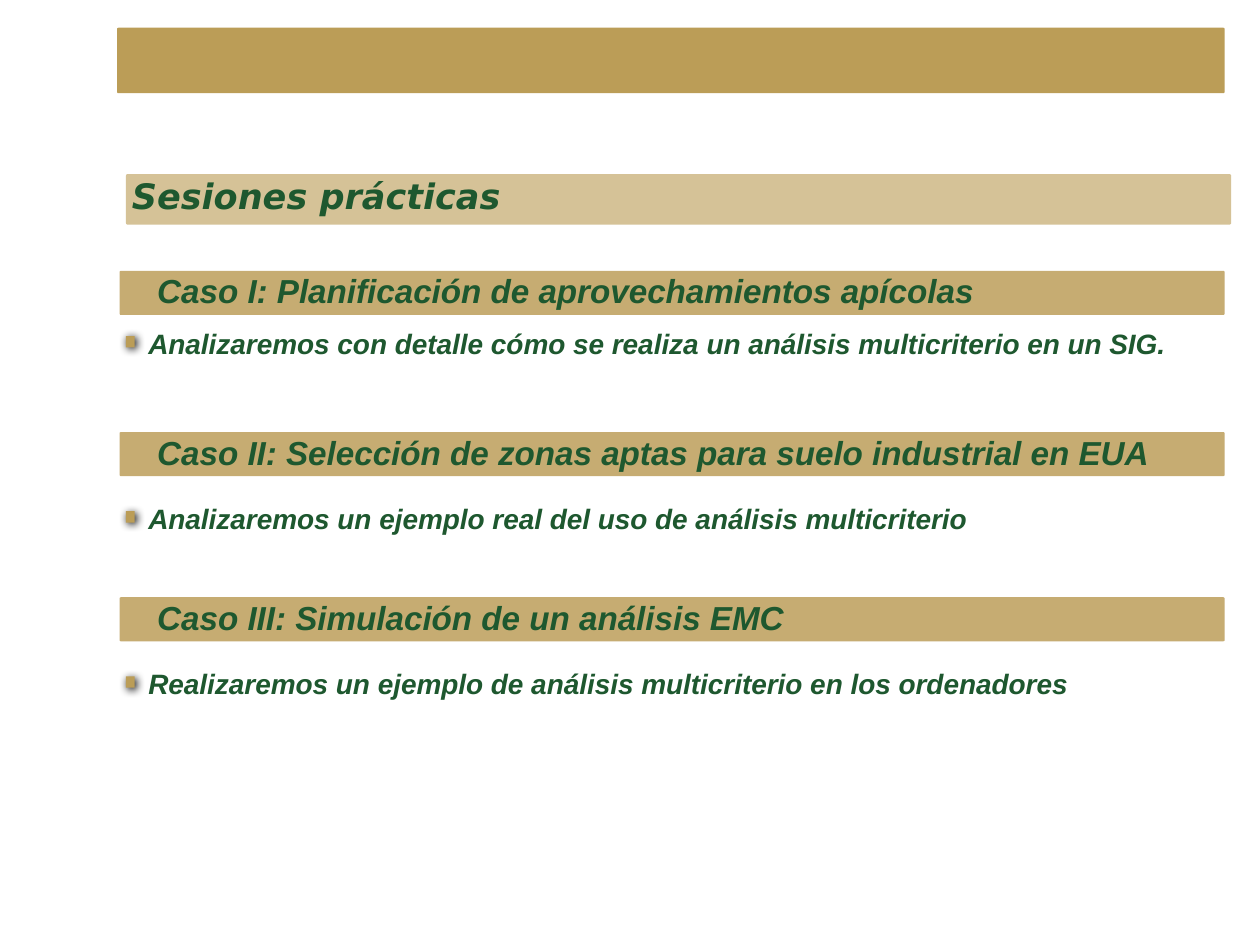
"""Build the slide that lists the three practical sessions."""
from lxml import etree
from pptx import Presentation, util as u
from pptx.dml.color import RGBColor
from pptx.enum import shapes, text
from pptx.oxml import ns

TITLE = "Sesiones prácticas"
CASES = [
    {"top": 5.46, "gap": 0.99, "height": 1.63,
     "head": "Caso I: Planificación de aprovechamientos apícolas",
     "detail": "Analizaremos con detalle cómo se realiza un análisis multicriterio en un SIG."},
    {"top": 8.71, "gap": 1.27, "height": 0.94,
     "head": "Caso II: Selección de zonas aptas para suelo industrial en EUA",
     "detail": "Analizaremos un ejemplo real del uso de análisis multicriterio"},
    {"top": 12.04, "gap": 1.27, "height": 0.94,
     "head": "Caso III: Simulación de un análisis EMC",
     "detail": "Realizaremos un ejemplo de análisis multicriterio en los ordenadores"},
]
GOLD, TAN, SAND, GREEN = "BB9D57", "C6AC72", "D5C297", "1E582F"


def color(value):
    return RGBColor.from_string(value)


def add_shape(s, kind, box, fill):
    sp = s.shapes.add_shape(kind, *map(u.Cm, box))
    sp.shadow.inherit = False
    sp.fill.solid()
    sp.fill.fore_color.rgb = color(fill)
    sp.line.fill.background()
    return sp


def add_bar(s, box, fill, radius=0.035):
    sp = add_shape(s, shapes.MSO_SHAPE.ROUNDED_RECTANGLE, box, fill)
    sp.adjustments[0] = radius


def add_marker(s, box):
    sp = add_shape(s, shapes.MSO_SHAPE.RECTANGLE, box, GOLD)
    sp.rotation = 90
    effects = sp._element.spPr.find(ns.qn("a:effectLst"))
    shadow = etree.SubElement(effects, ns.qn("a:outerShdw"), blurRad=str(u.Pt(5)),
                              dist=str(u.Pt(1.4)), dir="2700000", rotWithShape="0")
    etree.SubElement(shadow, ns.qn("a:srgbClr"), val="000000")


def add_text(s, content, box, size=16, font="Arial", fill=GREEN):
    tf = s.shapes.add_textbox(*map(u.Cm, box)).text_frame
    tf.word_wrap = True
    tf.vertical_anchor = text.MSO_ANCHOR.TOP
    r = tf.paragraphs[0].add_run()
    r.text = content
    r.font.name, r.font.size = font, u.Pt(size)
    r.font.bold = r.font.italic = True
    r.font.color.rgb = color(fill)


def main():
    prs = Presentation()
    prs.slide_width, prs.slide_height = u.Cm(25.4), u.Cm(19.05)
    s = prs.slides.add_slide(prs.slide_layouts[6])
    add_bar(s, (2.36, 0.56, 22.33, 1.32), GOLD, radius=0.022)
    add_bar(s, (2.54, 3.51, 22.28, 1.02), SAND)
    add_text(s, TITLE, (2.41, 3.4, 21.23, 1.09), size=20, font="DejaVu Sans")
    for case in CASES:
        top = case["top"]
        detail_top = top + case["gap"]
        add_bar(s, (2.41, top, 22.28, 0.89), TAN)
        add_text(s, case["head"], (2.92, top - 0.13, 21.87, 1.07), size=19)
        add_text(s, case["detail"], (2.74, detail_top, 21.08, case["height"]))
        add_marker(s, (2.51, detail_top + 0.35, 0.23, 0.18))
    prs.save("out.pptx")


if __name__ == "__main__":
    main()
